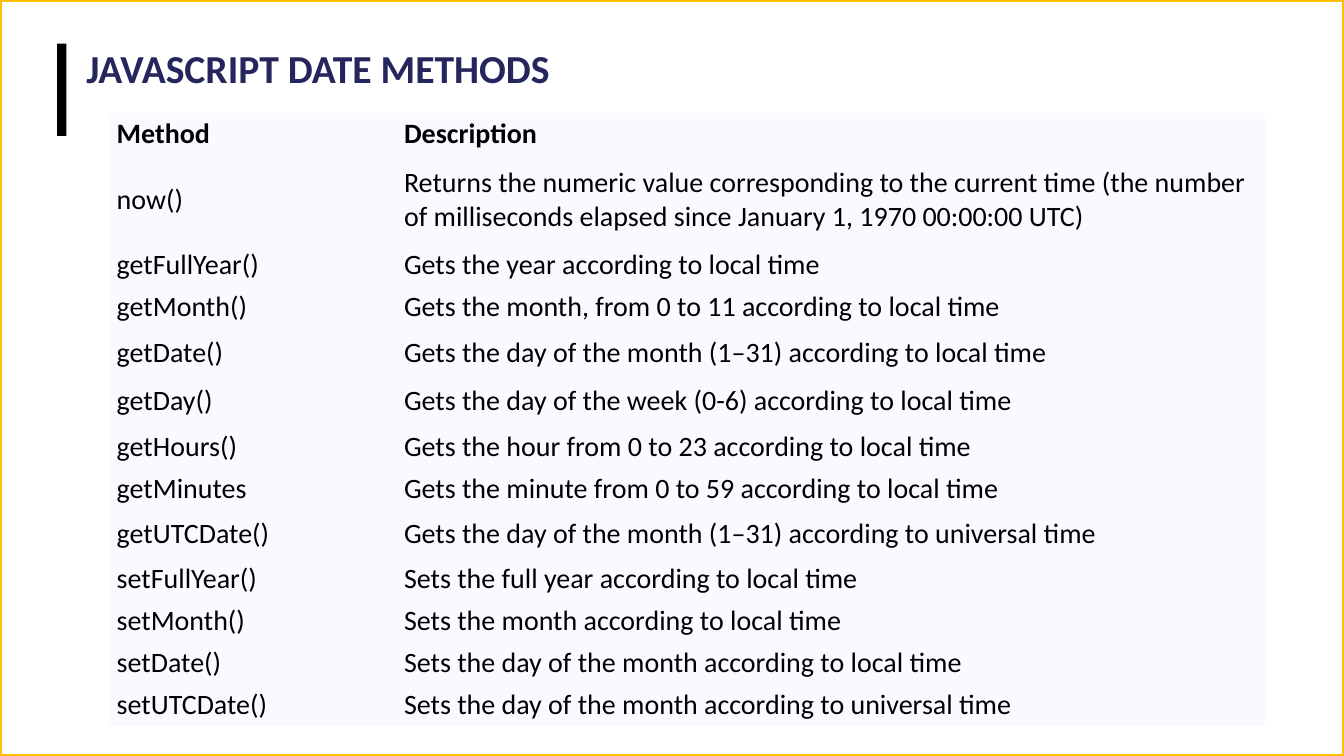
from lxml.etree import SubElement
from pptx import Presentation
from pptx.dml.color import RGBColor
from pptx.enum.shapes import MSO_SHAPE
from pptx.enum.text import MSO_ANCHOR
from pptx.oxml.ns import qn
from pptx.util import Cm, Pt

FONT = "Calibri"
ROW, MEDIUM_ROW, TALL_ROW = 1.27, 1.47, 2.69
METHOD_SHARE = 0.2486

# Row height in cm, method, description
METHODS = [
    (ROW, "Method", "Description"),
    (TALL_ROW, "now()", "Returns the numeric value corresponding to the current time "
     "(the number of milliseconds elapsed since January 1, 1970 00:00:00 UTC)"),
    (ROW, "getFullYear()", "Gets the year according to local time"),
    (ROW, "getMonth()", "Gets the month, from 0 to 11 according to local time"),
    (MEDIUM_ROW, "getDate()", "Gets the day of the month (1–31) according to local time"),
    (MEDIUM_ROW, "getDay()", "Gets the day of the week (0-6) according to local time"),
    (ROW, "getHours()", "Gets the hour from 0 to 23 according to local time"),
    (ROW, "getMinutes", "Gets the minute from 0 to 59 according to local time"),
    (MEDIUM_ROW, "getUTCDate()", "Gets the day of the month (1–31) according to universal time"),
    (ROW, "setFullYear()", "Sets the full year according to local time"),
    (ROW, "setMonth()", "Sets the month according to local time"),
    (ROW, "setDate()", "Sets the day of the month according to local time"),
    (ROW, "setUTCDate()", "Sets the day of the month according to universal time"),
]


def color(hex_code):
    return RGBColor.from_string(hex_code)


def add_span(para, text, size, hex_code, bold=False):
    span = para.add_run()
    span.text = text
    span.font.name = FONT
    span.font.size = Pt(size)
    span.font.bold = bold
    span.font.color.rgb = color(hex_code)


def add_rectangle(page, box, fill):
    rectangle = page.shapes.add_shape(MSO_SHAPE.RECTANGLE, *map(Cm, box))
    rectangle.shadow.inherit = False
    rectangle.fill.solid()
    rectangle.fill.fore_color.rgb = color(fill)
    rectangle.line.fill.background()
    return rectangle


def add_frame(page, box):
    frame = add_rectangle(page, box, "FFFFFF")
    frame.line.color.rgb = color("FFC000")
    frame.line.width = Pt(3)
    # Partly transparent fill
    white = frame.fill._xPr.find(qn("a:solidFill"))[0]
    SubElement(white, qn("a:alpha"), val="49000")


def add_heading(page, box, text):
    left, top, width, height = box
    # Accent bar
    add_rectangle(page, (left, top, 0.28, height), "000000")
    # Title
    indent = 0.58
    title = page.shapes.add_textbox(
        Cm(left + indent), Cm(top), Cm(width - indent), Cm(height))
    frame = title.text_frame
    frame.word_wrap = True
    frame.vertical_anchor = MSO_ANCHOR.TOP
    frame.margin_left = frame.margin_right = Cm(0.3)
    frame.margin_top = frame.margin_bottom = 0
    add_span(frame.paragraphs[0], text, 34, "25265E", bold=True)


def add_method_table(page, box, rows):
    table = page.shapes.add_table(len(rows), 2, *map(Cm, box)).table
    table.horz_banding = False
    width = box[2]
    table.columns[0].width = Cm(width * METHOD_SHARE)
    table.columns[1].width = Cm(width * (1 - METHOD_SHARE))
    # Plain style without grid lines
    style = table._tbl.tblPr.find(qn("a:tableStyleId"))
    style.text = "{2D5ABB26-0587-4C30-8999-92F81FD0307C}"

    for index, (height, *texts) in enumerate(rows):
        table.rows[index].height = Cm(height)
        for cell, text in zip(table.rows[index].cells, texts):
            cell.fill.solid()
            cell.fill.fore_color.rgb = color("F8FAFF")
            cell.vertical_anchor = MSO_ANCHOR.MIDDLE
            cell.margin_left = cell.margin_right = Cm(0.23)
            cell.margin_top = cell.margin_bottom = Cm(0.12)
            add_span(cell.text_frame.paragraphs[0], text, 24, "000000", bold=index == 0)


def main():
    deck = Presentation()
    deck.slide_width, deck.slide_height = Cm(40.64), Cm(22.86)
    page = deck.slides.add_slide(deck.slide_layouts[6])

    add_frame(page, (0, 0, 40.64, 22.86))
    add_heading(page, (1.73, 1.32, 21.28, 2.79), "JAVASCRIPT DATE METHODS")
    table_height = sum(row[0] for row in METHODS)
    add_method_table(page, (3.3, 3.43, 34.95, table_height), METHODS)

    deck.save("out.pptx")


if __name__ == "__main__":
    main()
